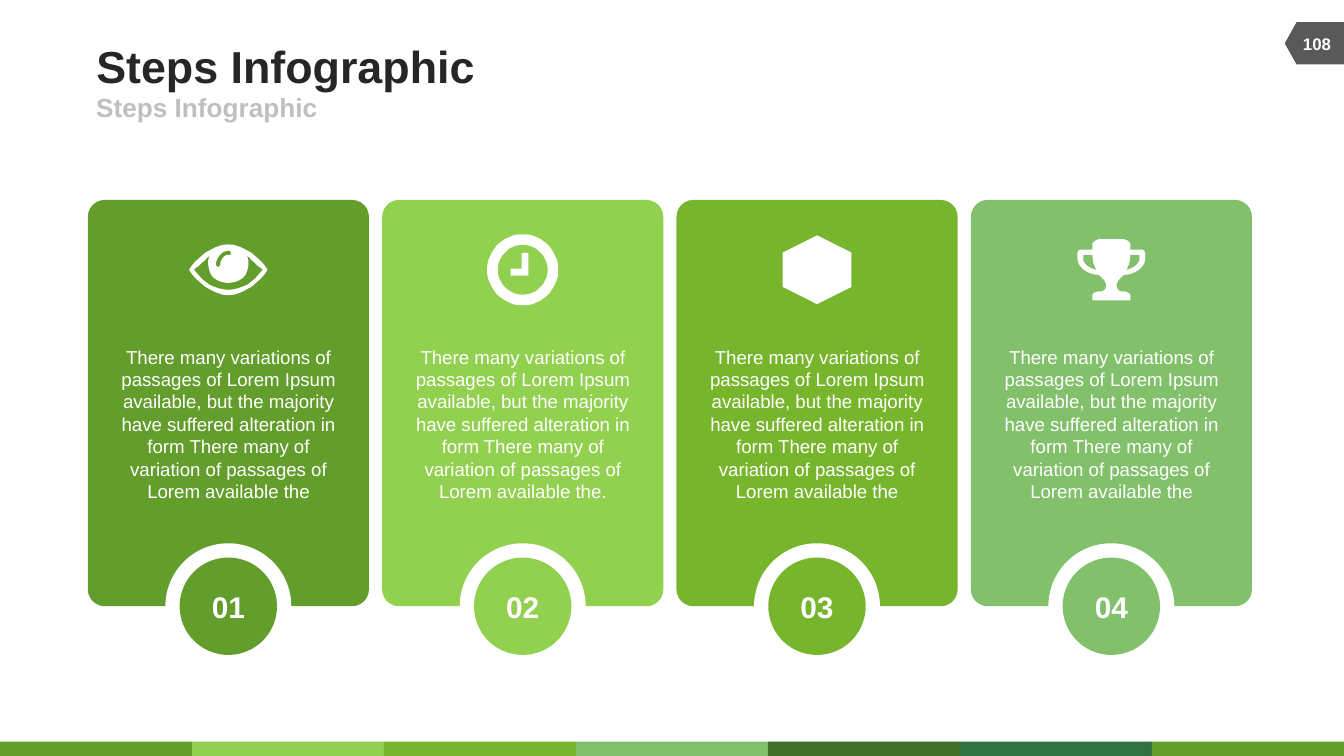
import math

import pptx
import pptx.dml.color
import pptx.enum.shapes
import pptx.enum.text
import pptx.util

Cm = pptx.util.Cm
SHAPES = pptx.enum.shapes.MSO_SHAPE
ANCHOR = pptx.enum.text.MSO_ANCHOR
ALIGN = pptx.enum.text.PP_ALIGN

SLIDE_WIDTH, SLIDE_HEIGHT = 25.4, 14.29
WHITE = "FFFFFF"
CARD_COLORS = ["639D2C", "92D050", "77B52D", "82C06C"]
BAR_COLORS = CARD_COLORS + ["406E26", "307240", "639D2C"]
BODY = ("There many variations of passages of Lorem Ipsum available, "
        "but the majority have suffered alteration in form There many of "
        "variation of passages of Lorem available the")


def rgb(color):
    return pptx.dml.color.RGBColor.from_string(color)


def paint(shape, color):
    shape.shadow.inherit = False
    shape.fill.solid()
    shape.fill.fore_color.rgb = rgb(color)
    shape.line.fill.background()


def add_shape(slide, kind, left, top, width, height, color):
    shape = slide.shapes.add_shape(kind, Cm(left), Cm(top), Cm(width), Cm(height))
    paint(shape, color)
    return shape


def add_circle(slide, center_x, center_y, diameter, color):
    return add_shape(slide, SHAPES.OVAL, center_x - diameter / 2,
                     center_y - diameter / 2, diameter, diameter, color)


def add_text(slide, left, top, width, height, text, **text_format):
    box = slide.shapes.add_textbox(Cm(left), Cm(top), Cm(width), Cm(height))
    write_text(box, text, **text_format)


def write_text(shape, text, size=10, color=WHITE, bold=False,
               align=ALIGN.LEFT, anchor=ANCHOR.MIDDLE, margin_top=0):
    frame = shape.text_frame
    frame.word_wrap = True
    frame.auto_size = pptx.enum.text.MSO_AUTO_SIZE.NONE
    frame.vertical_anchor = anchor
    frame.margin_left = frame.margin_right = frame.margin_bottom = 0
    frame.margin_top = Cm(margin_top)
    frame.text = text
    paragraph = frame.paragraphs[0]
    paragraph.alignment = align
    font = paragraph.font
    font.name, font.size, font.bold = "Arial", pptx.util.Pt(size), bold
    font.color.rgb = rgb(color)


def trace(start, *segments):
    """Points along lines (x, y) and cubic curves (two controls and an end)."""
    points = [start]
    for segment in segments:
        if len(segment) == 2:
            points.append(segment)
            continue
        (x0, y0), (x1, y1, x2, y2, x3, y3) = points[-1], segment
        for step in range(1, 9):
            t = step / 8
            a, b, c, d = (1 - t)**3, 3 * t * (1 - t)**2, 3 * t * t * (1 - t), t**3
            points.append((a * x0 + b * x1 + c * x2 + d * x3,
                           a * y0 + b * y1 + c * y2 + d * y3))
    return points


def mirrored(points):
    return [(-x, y) for x, y in points]


def symmetric(right_half):
    return right_half + mirrored(right_half)[::-1]


def ring(radius):
    angles = [math.tau * step / 60 for step in range(60)]
    return [(radius * math.cos(angle), radius * math.sin(angle)) for angle in angles]


def add_icon(slide, center_x, center_y, contours):
    """Contours are in hundredths of a centimetre around the centre."""
    first, *others = contours
    builder = slide.shapes.build_freeform(*first[0], scale=Cm(0.01))
    builder.add_line_segments(first[1:], close=True)
    for contour in others:
        builder.move_to(*contour[0])
        builder.add_line_segments(contour[1:], close=True)
    paint(builder.convert_to_shape(Cm(center_x), Cm(center_y)), WHITE)


def add_eye(slide, center_x, center_y):
    outline = trace((0, -48), (30, -48, 62, -20, 74, 0), (62, 20, 30, 48, 0, 48))
    white = trace((0, 25), (23, 25, 38, 10, 38, -10), (38, -18, 38, -23, 33, -28),
                  (43, -20, 53, -10, 65, 0), (48, 23, 25, 38, 0, 38))
    glint = trace((0, -36), (-13, -36, -23, -23, -23, -10), (-23, -8, -20, -5, -20, -5),
                  (-18, -5, -15, -8, -15, -10), (-15, -20, -8, -28, 0, -28),
                  (3, -28, 5, -28, 5, -32), (5, -34, 3, -36, 0, -36))
    add_icon(slide, center_x, center_y, [symmetric(outline), symmetric(white), glint])


def add_clock(slide, center_x, center_y):
    hands = [(11, 11), (-23, 11), (-23, -2), (-2, -2), (-2, -32), (11, -32)]
    add_icon(slide, center_x, center_y, [ring(67), ring(47), hands])


def add_hexagon(slide, center_x, center_y):
    hexagon = add_shape(slide, SHAPES.HEXAGON, center_x - 0.65, center_y - 0.65,
                        1.3, 1.3, WHITE)
    hexagon.rotation = 90


def add_trophy(slide, center_x, center_y):
    outline = trace((20, -58), (28, -58, 36, -53, 36, -46), (36, -38), (56, -38),
                    (61, -38, 64, -36, 64, -30), (64, -20), (64, -8, 46, 10, 23, 10),
                    (20, 13, 15, 18, 15, 18), (13, 20, 10, 25, 10, 30),
                    (10, 33, 13, 41, 20, 41), (28, 41, 36, 43, 36, 51), (36, 58))
    handle = trace((36, -28), (53, -28), (53, -20), (53, -13, 43, -3, 28, 0),
                   (33, -8, 36, -18, 36, -28))
    add_icon(slide, center_x, center_y, [symmetric(outline), handle, mirrored(handle)])


def add_header(slide, left, top, width):
    title = slide.shapes.title
    title.left, title.top, title.width, title.height = map(Cm, (left, top, width, 1))
    write_text(title, "Steps Infographic", size=24, color="262626", bold=True)
    add_text(slide, left, top + 1, width, 0.55, "Steps Infographic",
             size=14, color="BFBFBF", bold=True)


def add_page_tag(slide, left, top, width, height):
    tag = add_shape(slide, SHAPES.FLOWCHART_OFFPAGE_CONNECTOR,
                    left + (width - height) / 2, top + (height - width) / 2,
                    height, width, "595959")
    tag.rotation = 90
    add_text(slide, left + 0.1, top, width - 0.1, height, "108",
             size=9, bold=True, align=ALIGN.CENTER)


def add_color_bar(slide, left, top, width, height):
    step = width / len(BAR_COLORS)
    for index, color in enumerate(BAR_COLORS):
        add_shape(slide, SHAPES.RECTANGLE, left + index * step, top, step, height, color)


def add_card(slide, left, top, width, height, number, color, draw_icon, text):
    card = add_shape(slide, SHAPES.ROUNDED_RECTANGLE, left, top, width, height, color)
    card.adjustments[0] = 0.06
    center_x, bottom = left + width / 2, top + height
    draw_icon(slide, center_x, top + 1.32)
    add_text(slide, left + 0.47, top + 2.7, width - 0.94, 3.5, text,
             align=ALIGN.CENTER, anchor=ANCHOR.TOP, margin_top=0.05)
    add_circle(slide, center_x, bottom, 2.38, WHITE)
    badge = add_circle(slide, center_x, bottom, 1.84, color)
    write_text(badge, f"{number:02}", size=16, bold=True, align=ALIGN.CENTER)


def add_cards(slide, left, top, width, height, gap):
    icons = [add_eye, add_clock, add_hexagon, add_trophy]
    texts = [BODY, BODY + ".", BODY, BODY]
    card_width = (width - gap * (len(icons) - 1)) / len(icons)
    for index, (color, icon, text) in enumerate(zip(CARD_COLORS, icons, texts)):
        add_card(slide, left + index * (card_width + gap), top, card_width, height,
                 index + 1, color, icon, text)


def main():
    presentation = pptx.Presentation()
    presentation.slide_width = Cm(SLIDE_WIDTH)
    presentation.slide_height = Cm(SLIDE_HEIGHT)
    slide = presentation.slides.add_slide(presentation.slide_layouts[5])
    add_color_bar(slide, 0, 14.02, SLIDE_WIDTH, 0.27)
    add_page_tag(slide, 24.28, 0.42, 1.12, 0.8)
    add_header(slide, 1.82, 0.74, 15.67)
    add_cards(slide, 1.66, 3.78, 22, 7.68, 0.25)
    presentation.save("out.pptx")


if __name__ == "__main__":
    main()
